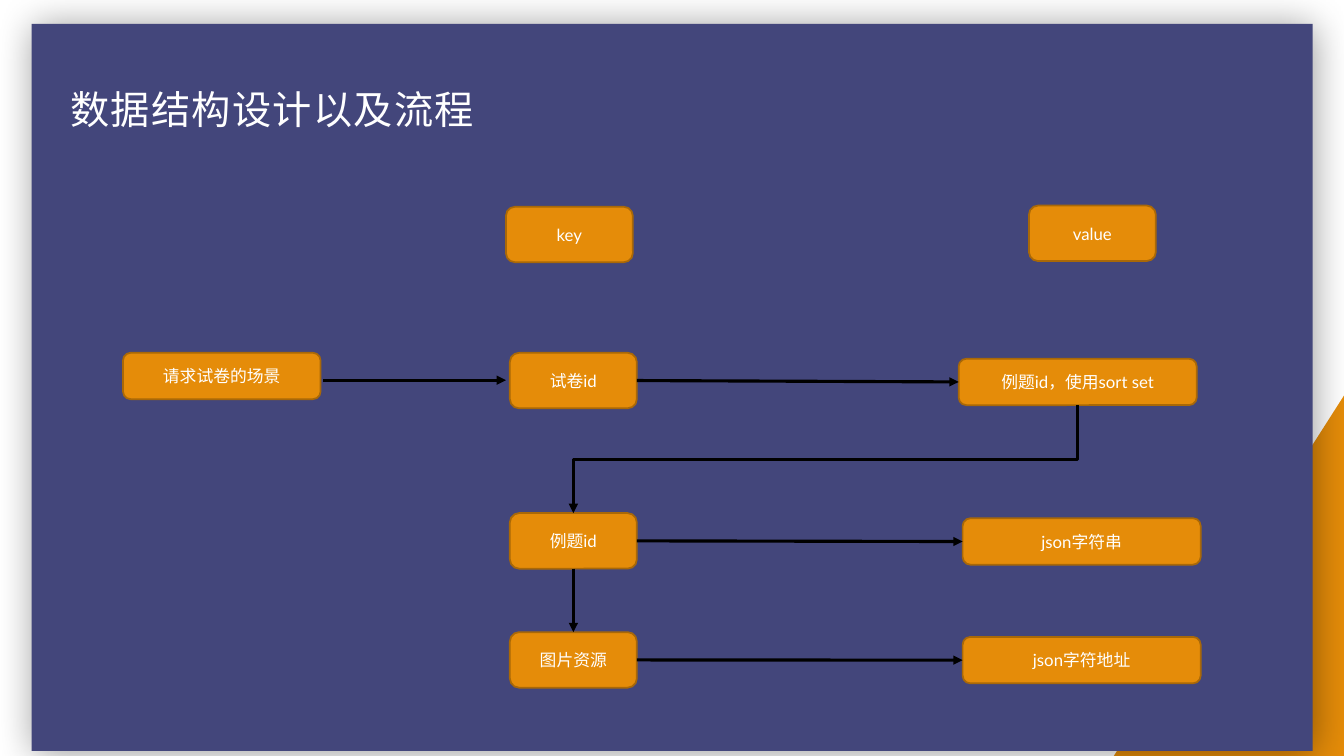
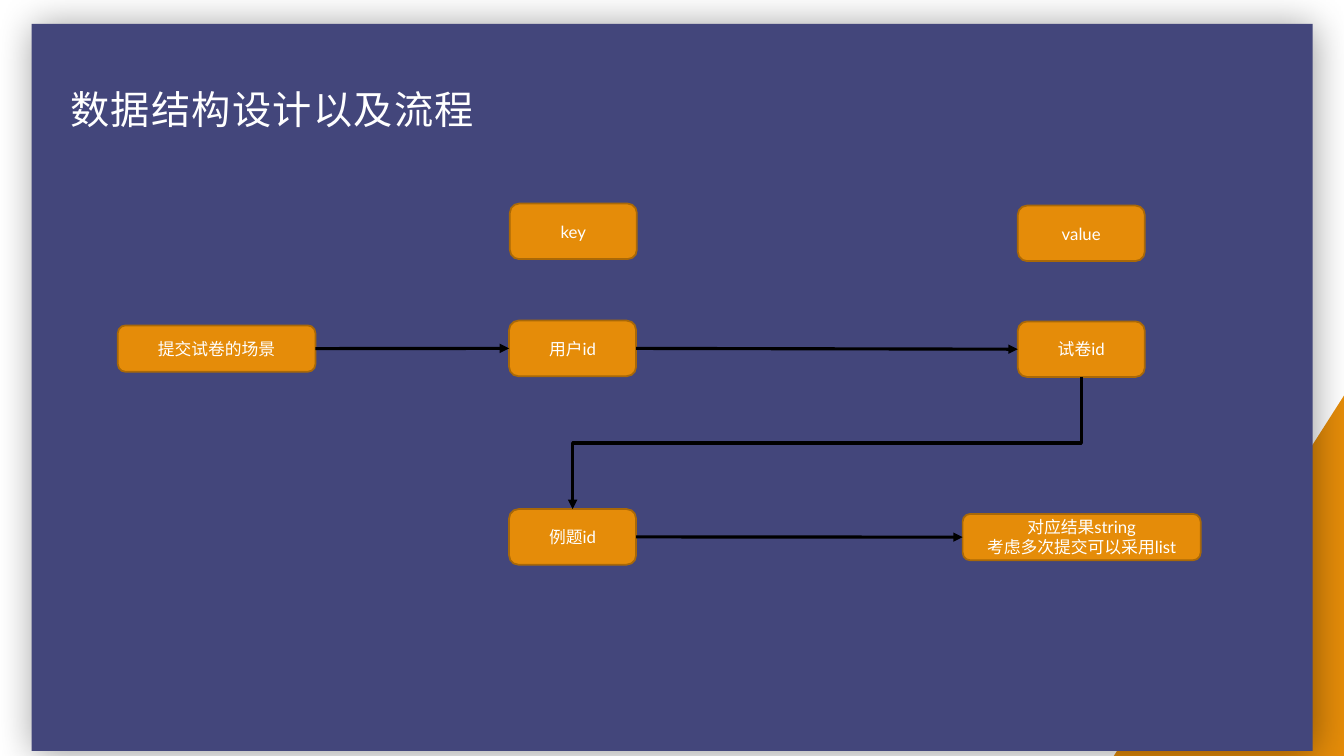
"""Build two slides that show the key and value flow of an exam store."""
import dataclasses

import pptx
import pptx.dml.color
import pptx.enum.shapes
import pptx.enum.text
import pptx.oxml.ns
import pptx.util
from lxml import etree

Cm = pptx.util.Cm
Pt = pptx.util.Pt
RGB = pptx.dml.color.RGBColor.from_string
qn = pptx.oxml.ns.qn
Kind = pptx.enum.shapes.MSO_SHAPE
Link = pptx.enum.shapes.MSO_CONNECTOR
Align = pptx.enum.text.PP_ALIGN
Anchor = pptx.enum.text.MSO_ANCHOR

TOP, LEFT, BOTTOM, RIGHT = range(4)
SMALL, MID, WIDE = (3.2, 1.4), (4.98, 1.17), (6, 1.17)


@dataclasses.dataclass(frozen=True)
class Theme:
    """Hold the colours, fonts and type sizes of the deck."""
    panel: str = "43467B"
    accent: str = "E58C09"
    edge: str = "A96807"
    ink: str = "000000"
    paper: str = "FFFFFF"
    latin: str = "Lato"
    asian: str = "Noto Sans CJK SC"
    title: int = 28
    label: int = 12


THEME = Theme()


def style(item, **values):
    """Set each format value on the item."""
    for name, value in values.items():
        setattr(item, name, value)


def paint(shape, fill, edge=None):
    """Give a shape a flat fill and an optional outline."""
    shape.shadow.inherit = False
    shape.fill.solid()
    shape.fill.fore_color.rgb = RGB(fill)
    if edge:
        shape.line.color.rgb = RGB(edge)
        shape.line.width = Pt(1.25)
    else:
        shape.line.fill.background()


def write(shape, text, size, latin, align, spacing=None):
    """Put text in a shape and return its runs."""
    frame = shape.text_frame
    style(frame, text=text, word_wrap=True, vertical_anchor=Anchor.MIDDLE)
    line = frame.paragraphs[0]
    style(line, alignment=align, line_spacing=spacing)
    for run in line.runs:
        style(run.font, size=Pt(size), name=latin)
        run.font.color.rgb = RGB(THEME.paper)
        props = run.font._element
        etree.SubElement(props, qn("a:ea"), typeface=THEME.asian)
    return line.runs


def add_wedge(slide):
    """Draw the accent corner at the lower right."""
    points = [(Cm(x), Cm(y)) for x, y in
              ((33.87, 9.97), (33.87, 19.05), (28.07, 19.05))]
    path = slide.shapes.build_freeform(*points[0])
    path.add_line_segments(points[1:])
    paint(path.convert_to_shape(), THEME.accent)


def add_panel(slide):
    """Draw the dark panel with its soft shadow."""
    panel = slide.shapes.add_shape(
        Kind.RECTANGLE, Cm(0.8), Cm(0.6), Cm(32.28), Cm(18.32))
    paint(panel, THEME.panel)
    effects = panel.element.spPr.find(qn("a:effectLst"))
    shade = etree.SubElement(
        effects, qn("a:outerShdw"), blurRad=str(Pt(28)),
        dist=str(Pt(3)), dir="2700000", algn="tl", rotWithShape="0")
    tint = etree.SubElement(shade, qn("a:srgbClr"), val=THEME.ink)
    etree.SubElement(tint, qn("a:alpha"), val="40000")


def add_title(slide, text):
    """Write the slide title."""
    box = slide.shapes.add_textbox(Cm(1.52), Cm(1.7), Cm(30.02), Cm(2.24))
    for run in write(box, text, THEME.title, THEME.asian, Align.LEFT, 0.9):
        run.font._element.set("spc", "100")


def add_box(slide, text, x, y, size=SMALL):
    """Add a rounded box with a centred label."""
    box = slide.shapes.add_shape(
        Kind.ROUNDED_RECTANGLE, Cm(x), Cm(y), *map(Cm, size))
    paint(box, THEME.accent, THEME.edge)
    write(box, text, THEME.label, THEME.latin, Align.CENTER)
    return box


def add_arrow(slide, kind=Link.STRAIGHT, ends=(0, 0, 0, 0)):
    """Add a black arrow between two points."""
    arrow = slide.shapes.add_connector(kind, *map(Cm, ends))
    arrow.line.color.rgb = RGB(THEME.ink)
    arrow.line.width = Pt(2.25)
    props = arrow.element.spPr
    etree.SubElement(props.find(qn("a:ln")), qn("a:tailEnd"), type="triangle")
    etree.SubElement(props, qn("a:effectLst"))
    return arrow


def join(slide, start, end, sides=(RIGHT, LEFT), kind=Link.STRAIGHT):
    """Tie two boxes with an arrow."""
    arrow = add_arrow(slide, kind)
    arrow.begin_connect(start, sides[0])
    arrow.end_connect(end, sides[1])
    return arrow


def bend(slide, start, end):
    """Lead an arrow down, left and down again to a lower box."""
    arrow = join(slide, start, end, (BOTTOM, TOP), Link.ELBOW)
    wide, high = arrow.width, arrow.height
    shift = (wide - high) // 2
    style(arrow, left=arrow.left + shift, top=arrow.top - shift,
          width=high, height=wide)
    frame = arrow.element.spPr.find(qn("a:xfrm"))
    frame.attrib.pop("flipH", None)
    frame.set("rot", "5400000")


def add_slide(deck):
    """Start a slide with the shared backdrop and title."""
    slide = deck.slides.add_slide(deck.slide_layouts[6])
    add_wedge(slide)
    add_panel(slide)
    add_title(slide, "数据结构设计以及流程")
    return slide


def show_request(deck):
    """Show the flow when an exam is asked for."""
    slide = add_slide(deck)
    add_box(slide, "key", 12.75, 5.21)
    add_box(slide, "value", 25.93, 5.18)
    add_box(slide, "请求试卷的场景", 3.1, 8.89, MID)
    exam = add_box(slide, "试卷id", 12.85, 8.89)
    order = add_box(slide, "例题id，使用sort set", 24.16, 9.04, WIDE)
    topic = add_box(slide, "例题id", 12.85, 12.93)
    string = add_box(slide, "json字符串", 24.26, 13.06, WIDE)
    image = add_box(slide, "图片资源", 12.85, 15.93)
    address = add_box(slide, "json字符地址", 24.26, 16.05, WIDE)
    add_arrow(slide, ends=(8.15, 9.58, 12.75, 9.58))
    for start, end in ((exam, order), (topic, string), (image, address)):
        join(slide, start, end)
    join(slide, topic, image, (BOTTOM, TOP))
    bend(slide, order, topic)


def show_submit(deck):
    """Show the flow when an exam is handed in."""
    slide = add_slide(deck)
    add_box(slide, "key", 12.85, 5.13)
    add_box(slide, "value", 25.65, 5.18)
    scene = add_box(slide, "提交试卷的场景", 2.97, 8.2, MID)
    user = add_box(slide, "用户id", 12.83, 8.08)
    exam = add_box(slide, "试卷id", 25.65, 8.1)
    topic = add_box(slide, "例题id", 12.83, 12.83)
    result = add_box(slide, "对应结果string\v考虑多次提交可以采用list",
                     24.26, 12.95, WIDE)
    for start, end in ((scene, user), (user, exam), (topic, result)):
        join(slide, start, end)
    bend(slide, exam, topic)


def main():
    """Build and save the deck."""
    deck = pptx.Presentation()
    style(deck, slide_width=Cm(33.87), slide_height=Cm(19.05))
    show_request(deck)
    show_submit(deck)
    deck.save("out.pptx")


main()
